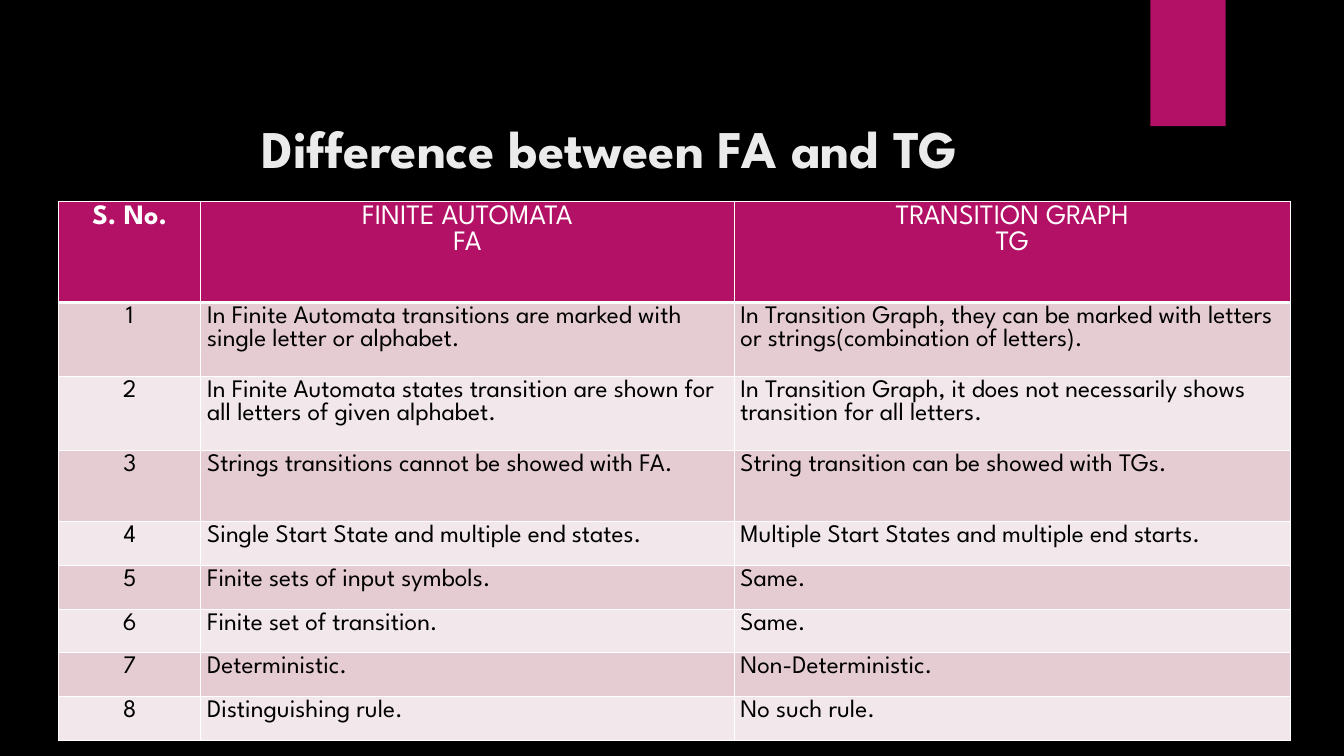
from lxml import etree
from pptx import Presentation
from pptx.dml.color import RGBColor
from pptx.enum.shapes import MSO_SHAPE
from pptx.enum.text import MSO_ANCHOR, MSO_AUTO_SIZE, PP_ALIGN
from pptx.oxml.ns import qn
from pptx.util import Cm, Pt

RECTANGLE = MSO_SHAPE.RECTANGLE
BOTTOM = MSO_ANCHOR.BOTTOM
NO_AUTOFIT = MSO_AUTO_SIZE.NONE
CENTER, LEFT = PP_ALIGN.CENTER, PP_ALIGN.LEFT

BLACK = RGBColor(0x00, 0x00, 0x00)
WHITE = RGBColor(0xFF, 0xFF, 0xFF)
TITLE_GREY = RGBColor(0xEB, 0xEB, 0xEB)
MAGENTA = RGBColor(0xB3, 0x11, 0x66)
ROW_FILLS = (RGBColor(0xF2, 0xE7, 0xEA), RGBColor(0xE5, 0xCC, 0xD3))

FONT = "League Spartan"
TITLE_FORMAT = {"name": FONT, "size": Pt(37.8), "bold": True}
HEADER_FORMAT = {"name": FONT, "size": Pt(20), "bold": False}
BODY_FORMAT = {"name": FONT, "size": Pt(18), "bold": False}
CELL_MARGINS = {
    "margin_left": Cm(0.16),
    "margin_right": Cm(0.16),
    "margin_top": Cm(0.08),
    "margin_bottom": Cm(0.08),
}

COLUMN_WIDTHS = (3.58, 13.44, 14.02)
ROW_HEIGHTS = (2.54, 1.87, 1.87, 1.79) + (1.1,) * 5

HEADER = ("S. No.", "FINITE AUTOMATA\nFA", "TRANSITION GRAPH\nTG")
DIFFERENCES = (
    ("In Finite Automata transitions are marked with single letter or alphabet.",
     "In Transition Graph, they can be marked with letters or strings(combination of letters)."),
    ("In Finite Automata states transition are shown for all letters of given alphabet.",
     "In Transition Graph, it does not necessarily shows transition for all letters."),
    ("Strings transitions cannot be showed with FA.",
     "String transition can be showed with TGs."),
    ("Single Start State and multiple end states.",
     "Multiple Start States and multiple end starts."),
    ("Finite sets of input symbols.", "Same."),
    ("Finite set of transition.", "Same."),
    ("Deterministic.", "Non-Deterministic."),
    ("Distinguishing rule.", "No such rule."),
)


def set_attributes(target, values):
    for name, value in values.items():
        setattr(target, name, value)


def write_text(frame, text, font_format, color, alignment):
    frame.text = text
    for para in frame.paragraphs:
        para.alignment = alignment
        for span in para.runs:
            set_attributes(span.font, font_format)
            span.font.color.rgb = color


def add_title(page, text):
    title = page.shapes.title
    set_attributes(title, {"left": Cm(3.2), "top": Cm(2.69),
                           "width": Cm(24.33), "height": Cm(1.96)})
    frame = title.text_frame
    set_attributes(frame, {"word_wrap": True, "auto_size": NO_AUTOFIT,
                           "vertical_anchor": BOTTOM})
    write_text(frame, text, TITLE_FORMAT, TITLE_GREY, CENTER)


def add_ribbon(page):
    ribbon = page.shapes.add_shape(RECTANGLE, Cm(28.99), Cm(0), Cm(1.9), Cm(3.18))
    ribbon.shadow.inherit = False
    ribbon.fill.solid()
    ribbon.fill.fore_color.rgb = MAGENTA
    ribbon.line.fill.background()


def set_borders(cell, bottom_width):
    properties = cell._tc.get_or_add_tcPr()
    widths = {"a:lnL": Pt(1), "a:lnR": Pt(1), "a:lnT": Pt(1), "a:lnB": bottom_width}
    for tag, width in widths.items():
        line = etree.SubElement(properties, qn(tag), w=str(width))
        fill = etree.SubElement(line, qn("a:solidFill"))
        etree.SubElement(fill, qn("a:srgbClr"), val=str(WHITE))


def format_cell(cell, text, row, column):
    is_header = row == 0
    set_attributes(cell, CELL_MARGINS)
    set_borders(cell, Pt(3) if is_header else Pt(1))
    cell.fill.solid()
    cell.fill.fore_color.rgb = MAGENTA if is_header else ROW_FILLS[row % 2]
    font_format = HEADER_FORMAT if is_header else BODY_FORMAT
    if is_header and column == 0:
        font_format = {**font_format, "bold": True}
    write_text(cell.text_frame, text, font_format,
               WHITE if is_header else BLACK,
               CENTER if is_header or column == 0 else LEFT)


def add_comparison_table(page):
    rows = [HEADER]
    rows += [(str(number), *pair) for number, pair in enumerate(DIFFERENCES, 1)]
    table = page.shapes.add_table(
        len(rows), len(HEADER), Cm(1.48), Cm(5.08),
        Cm(sum(COLUMN_WIDTHS)), Cm(sum(ROW_HEIGHTS))).table
    for column, width in zip(table.columns, COLUMN_WIDTHS):
        column.width = Cm(width)
    for row, height in zip(table.rows, ROW_HEIGHTS):
        row.height = Cm(height)
    for row, texts in enumerate(rows):
        for column, text in enumerate(texts):
            format_cell(table.cell(row, column), text, row, column)


def main():
    deck = Presentation()
    deck.slide_width, deck.slide_height = Cm(33.87), Cm(19.05)
    page = deck.slides.add_slide(deck.slide_layouts.get_by_name("Title Only"))

    # Background and corner ribbon
    page.background.fill.solid()
    page.background.fill.fore_color.rgb = BLACK
    add_ribbon(page)

    # Title and comparison
    add_title(page, "Difference between FA and TG")
    add_comparison_table(page)

    deck.save("out.pptx")


if __name__ == "__main__":
    main()
